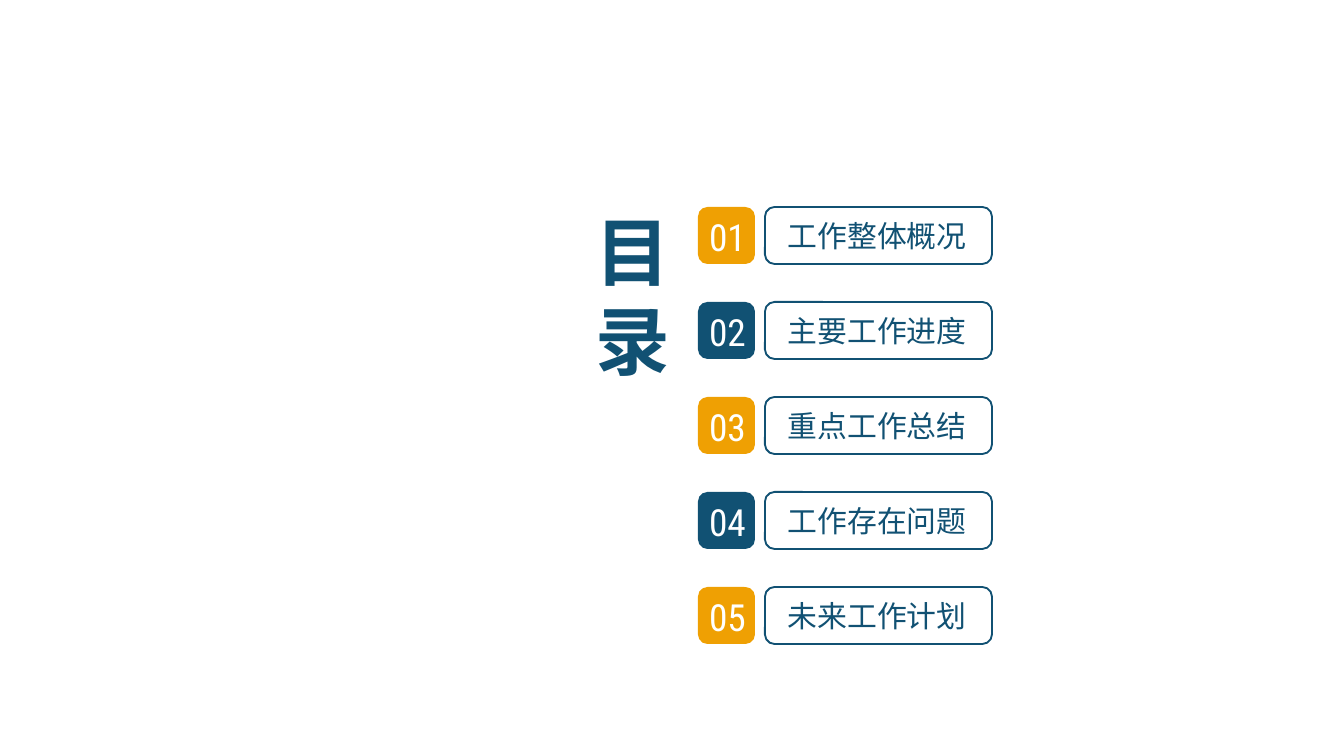
from dataclasses import dataclass
from typing import NamedTuple

from lxml import etree
from pptx import Presentation
from pptx import util as u
from pptx.dml.color import RGBColor
from pptx.enum import shapes, text
from pptx.oxml import ns

EMU_PER_PIXEL = 914400 / 134.4


def px(length: float) -> u.Emu:
    """Turn pixels into EMU."""
    return u.Emu(round(length * EMU_PER_PIXEL))


class Box(NamedTuple):
    """A rectangle in pixels."""
    left: int
    top: int
    width: int
    height: int

    def emu(self) -> list[u.Emu]:
        """Give the four lengths in EMU."""
        return [px(length) for length in self]


class Style(NamedTuple):
    """The look of a piece of text."""
    font_name: str
    size: int
    color: RGBColor
    bold: bool = False


@dataclass(frozen=True)
class Theme:
    """Colours and text styles of the slide."""
    blue = RGBColor(0x11, 0x51, 0x73)
    amber = RGBColor(0xEF, 0xA0, 0x03)
    white = RGBColor(0xFF, 0xFF, 0xFF)
    title = Style("Noto Sans CJK SC", 40, blue, True)
    label = Style("Noto Sans CJK SC", 16, blue)
    number = Style("Roboto Condensed", 20, white)


@dataclass(frozen=True)
class Entry:
    """One line of the contents list."""
    number: int
    label: str

    @property
    def top(self) -> int:
        """Top edge of the entry in pixels."""
        return FIRST_TOP + (self.number - 1) * PITCH

    @property
    def badge_color(self) -> RGBColor:
        """Odd entries are amber, even ones blue."""
        return THEME.amber if self.number % 2 else THEME.blue


THEME = Theme()
FIRST_TOP, PITCH, ENTRY_HEIGHT = 207, 95, 57
LABELS = ["工作整体概况", "主要工作进度", "重点工作总结", "工作存在问题", "未来工作计划"]


def style_font(font, style: Style) -> None:
    """Apply a style, including the East Asian typeface."""
    font.size = u.Pt(style.size)
    font.bold = style.bold
    font.color.rgb = style.color
    font.name = style.font_name
    etree.SubElement(font._element, ns.qn("a:ea"), typeface=style.font_name)


def write(frame, content: str, style: Style) -> None:
    """Fill a text frame with left-aligned, top-anchored paragraphs."""
    frame.text = content
    frame.vertical_anchor = text.MSO_ANCHOR.TOP
    for paragraph in frame.paragraphs:
        paragraph.alignment = text.PP_ALIGN.LEFT
        style_font(paragraph.font, style)
        for run in paragraph.runs:  # some viewers ignore paragraph fonts
            style_font(run.font, style)


def add_text(group, box: Box, content: str, style: Style,
             inset: tuple[int, int]) -> None:
    """Add a wrapping text box with equal opposite insets."""
    frame = group.shapes.add_textbox(*box.emu()).text_frame
    frame.word_wrap = True
    frame.margin_left = frame.margin_right = px(inset[0])
    frame.margin_top = frame.margin_bottom = px(inset[1])
    write(frame, content, style)


def add_rounded(group, box: Box, fill: RGBColor | None = None) -> None:
    """Add a filled rounded box, or a blue outline when no fill is given."""
    shape = group.shapes.add_shape(shapes.MSO_SHAPE.ROUNDED_RECTANGLE, *box.emu())
    shape.shadow.inherit = False
    if fill is None:
        shape.fill.background()
        shape.line.color.rgb = THEME.blue
        shape.line.width = u.Pt(1)
    else:
        shape.fill.solid()
        shape.fill.fore_color.rgb = fill
        shape.line.fill.background()


def add_entry(slide, entry: Entry) -> None:
    """Add a grouped number badge and label."""
    group = slide.shapes.add_group_shape()
    group.name = f"Entry {entry.number:02}"
    add_rounded(group, Box(765, entry.top, 227, ENTRY_HEIGHT))
    add_text(group, Box(771, entry.top + 2, 292, 54), entry.label,
             THEME.label, (17, 9))
    add_rounded(group, Box(698, entry.top, 57, ENTRY_HEIGHT), entry.badge_color)
    add_text(group, Box(696, entry.top, 74, 59), f"{entry.number:02}",
             THEME.number, (13, 7))


def add_title(slide) -> None:
    """Place and format the stacked title."""
    title = slide.shapes.title
    title.left, title.top, title.width, title.height = Box(582, 199, 102, 195).emu()
    frame = title.text_frame
    frame.auto_size = text.MSO_AUTO_SIZE.NONE
    frame.word_wrap = False
    write(frame, "目\n录", THEME.title)


def main() -> None:
    """Build and save the contents slide."""
    presentation = Presentation()
    presentation.slide_width, presentation.slide_height = px(1344), px(756)
    slide = presentation.slides.add_slide(
        presentation.slide_layouts.get_by_name("Title Only"))
    add_title(slide)
    for number, label in enumerate(LABELS, start=1):
        add_entry(slide, Entry(number, label))
    presentation.save("out.pptx")


main()
